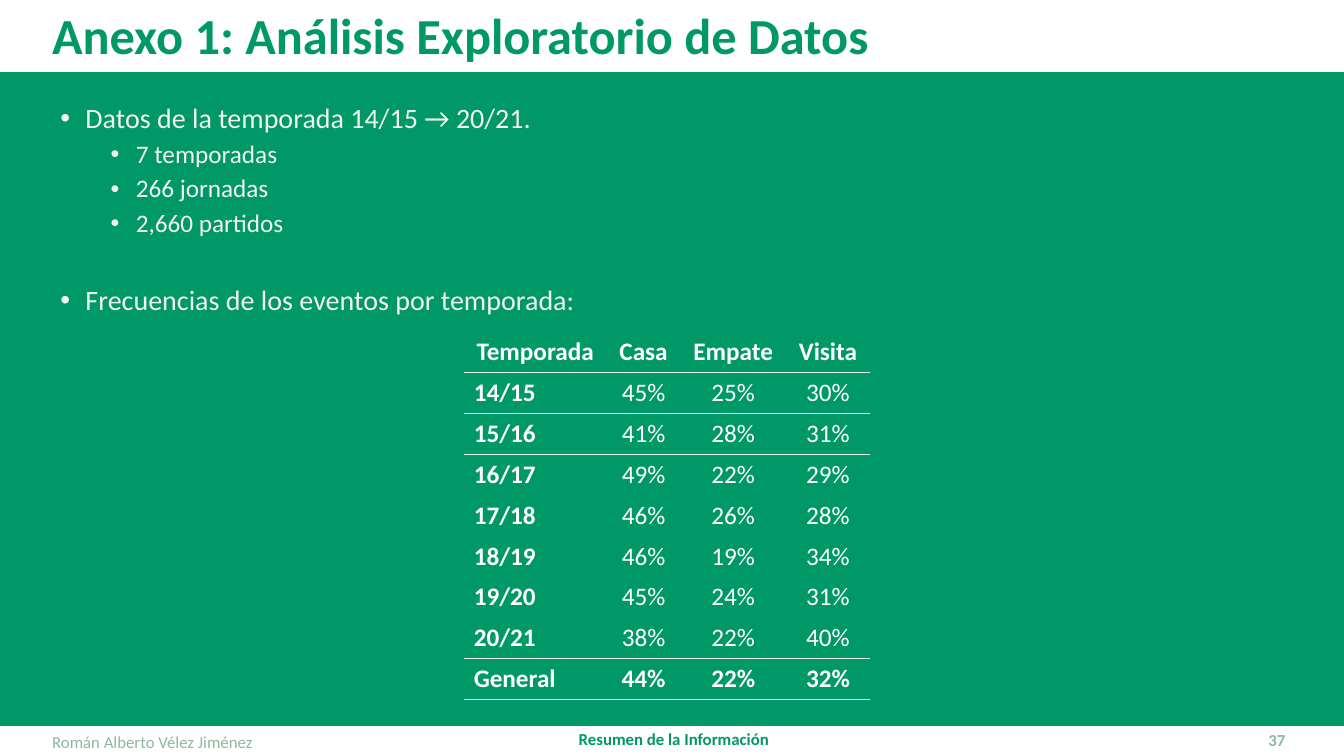
from lxml import etree
from pptx import Presentation
from pptx.dml.color import RGBColor
from pptx.enum.shapes import MSO_SHAPE as SHAPE
from pptx.enum.text import MSO_ANCHOR as ANCHOR, PP_ALIGN as ALIGN
from pptx.oxml.ns import qn
from pptx.util import Pt

FONT = "Calibri"
COLORS = {"green": "009867", "sage": "8CB9A0", "light": "F2F2F2", "white": "FFFFFF"}
NO_STYLE = "{2D5ABB26-0587-4C30-8999-92F81FD0307C}"
BULLETS = [
    ("Datos de la temporada 14/15 → 20/21.", 0, 0),
    ("7 temporadas", 1, 5),
    ("266 jornadas", 1, 5),
    ("2,660 partidos", 1, 5),
    ("Frecuencias de los eventos por temporada:", 0, 34.8),
]
FREQUENCIES = [
    ("Temporada", "Casa", "Empate", "Visita"),
    ("14/15", "45%", "25%", "30%"),
    ("15/16", "41%", "28%", "31%"),
    ("16/17", "49%", "22%", "29%"),
    ("17/18", "46%", "26%", "28%"),
    ("18/19", "46%", "19%", "34%"),
    ("19/20", "45%", "24%", "31%"),
    ("20/21", "38%", "22%", "40%"),
    ("General", "44%", "22%", "32%"),
]
COL_WIDTHS = [102.2, 52.6, 75.6, 59.8]
RULED_ROWS = {0, 1, 7, 8}


def rgb(name):
    return RGBColor.from_string(COLORS[name])


def write(p, text, size=18, color="white", bold=False, align=ALIGN.LEFT, spacing=1.0):
    p.alignment = align
    p.line_spacing = spacing
    r = p.add_run()
    r.text = text
    r.font.name = FONT
    r.font.size = Pt(size)
    r.font.bold = bold
    r.font.color.rgb = rgb(color)


def add_frame(slide, box, anchor=ANCHOR.TOP):
    tf = slide.shapes.add_textbox(*map(Pt, box)).text_frame
    tf.word_wrap = True
    tf.vertical_anchor = anchor
    return tf


def add_band(slide, box):
    sp = slide.shapes.add_shape(SHAPE.RECTANGLE, *map(Pt, box))
    sp.shadow.inherit = False
    sp.fill.solid()
    sp.fill.fore_color.rgb = rgb("green")
    sp.line.color.rgb = rgb("green")
    sp.line.width = Pt(1)


def add_title(slide, box):
    tf = add_frame(slide, box, ANCHOR.MIDDLE)
    write(tf.paragraphs[0], "Anexo 1: Análisis Exploratorio de Datos",
          size=36, color="green", bold=True, spacing=0.9)


def add_footer(slide, box):
    left, top, width, height = box
    author = add_frame(slide, (left, top, 216, height), ANCHOR.MIDDLE)
    write(author.paragraphs[0], "Román Alberto Vélez Jiménez", size=12, color="sage")
    section = add_frame(slide, (left + 234.8, top - 0.4, 432.7, height))
    write(section.paragraphs[0], "Resumen de la Información", size=12, color="green",
          bold=True, align=ALIGN.CENTER, spacing=0.9)
    number = add_frame(slide, (left + width - 216, top - 1, 216, height), ANCHOR.MIDDLE)
    write(number.paragraphs[0], "37", size=12, color="sage", bold=True, align=ALIGN.RIGHT)


def add_bullets(slide, box):
    tf = add_frame(slide, box)
    for i, (text, level, before) in enumerate(BULLETS):
        p = tf.paragraphs[0] if i == 0 else tf.add_paragraph()
        p.level = level
        pPr = p._p.get_or_add_pPr()
        pPr.set("marL", str(Pt(18 + 36 * level)))
        pPr.set("indent", str(-Pt(18)))
        etree.SubElement(pPr, qn("a:buFont"), typeface="Arial")
        etree.SubElement(pPr, qn("a:buChar"), char="•")
        p.space_before = Pt(before)
        write(p, text, size=20 - 2 * level, color="light", spacing=0.9)


def add_border(tcPr, tag):
    ln = etree.SubElement(tcPr, qn(tag), w=str(Pt(1)))
    fill = etree.SubElement(ln, qn("a:solidFill"))
    etree.SubElement(fill, qn("a:srgbClr"), val=COLORS["light"])


def add_frequencies(slide, box):
    last = len(FREQUENCIES) - 1
    table = slide.shapes.add_table(last + 1, len(COL_WIDTHS), *map(Pt, box)).table
    table.first_row = table.horz_banding = False
    table._tbl.tblPr.find(qn("a:tableStyleId")).text = NO_STYLE
    for col, width in zip(table.columns, COL_WIDTHS):
        col.width = Pt(width)
    for i, values in enumerate(FREQUENCIES):
        table.rows[i].height = Pt(box[3] / (last + 1))
        for j, text in enumerate(values):
            cell = table.cell(i, j)
            tcPr = cell._tc.get_or_add_tcPr()
            if i - 1 in RULED_ROWS:
                add_border(tcPr, "a:lnT")
            if i in RULED_ROWS:
                add_border(tcPr, "a:lnB")
            cell.fill.background()
            write(cell.text_frame.paragraphs[0], text,
                  bold=i in (0, last) or j == 0,
                  align=ALIGN.LEFT if j == 0 and i > 0 else ALIGN.CENTER)


def main():
    prs = Presentation()
    prs.slide_width, prs.slide_height = Pt(960), Pt(540)
    slide = prs.slides.add_slide(prs.slide_layouts[6])
    slide.background.fill.solid()
    slide.background.fill.fore_color.rgb = rgb("white")
    add_band(slide, (0, 51.8, 960, 466.6))
    add_title(slide, (30.2, 13, 795.6, 28))
    add_footer(slide, (30.2, 519, 895, 21))
    add_bullets(slide, (36, 71.3, 885.6, 423.4))
    add_frequencies(slide, (331.2, 236.9, sum(COL_WIDTHS), 262.8))
    prs.save("out.pptx")


if __name__ == "__main__":
    main()
